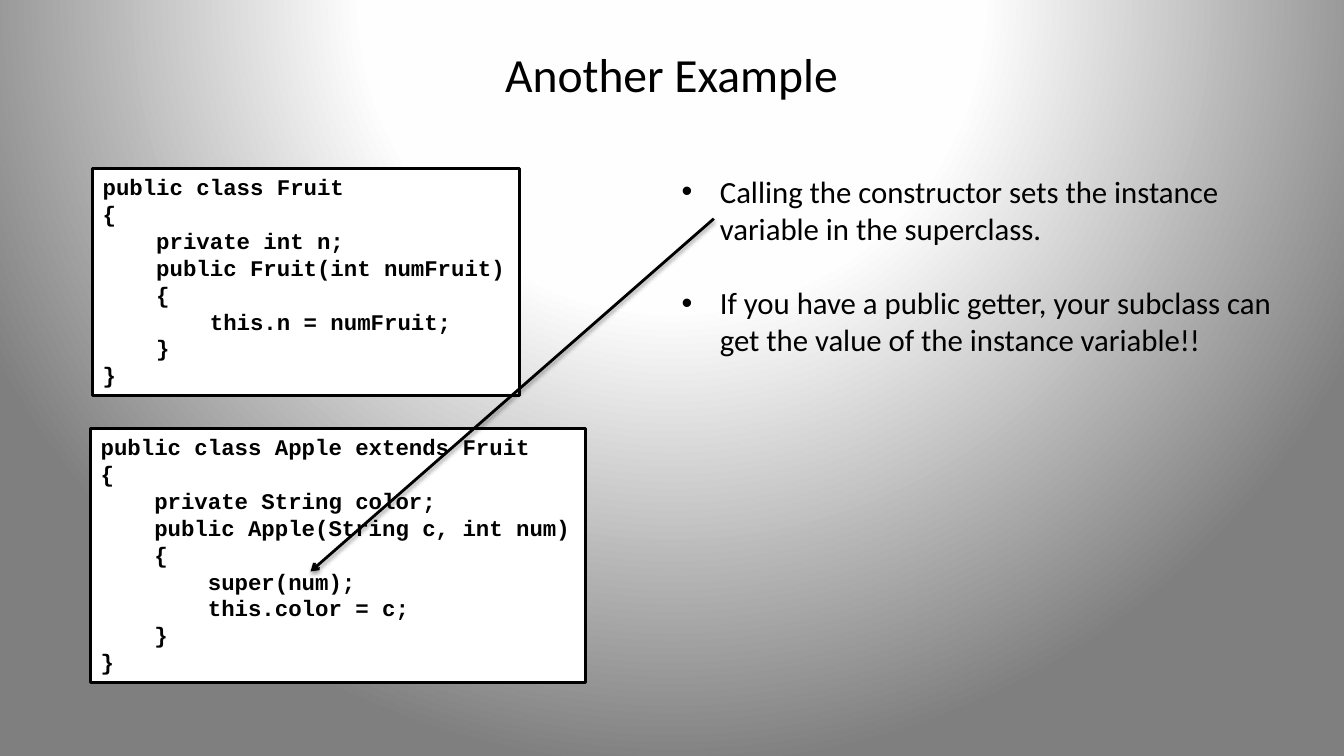
from pptx import Presentation
from pptx.dml.color import RGBColor
from pptx.enum.shapes import MSO_CONNECTOR, MSO_SHAPE
from pptx.enum.text import MSO_ANCHOR, MSO_AUTO_SIZE, PP_ALIGN
from pptx.oxml import parse_xml
from pptx.oxml.ns import nsdecls
from pptx.util import Inches, Pt

BLACK = RGBColor(0x00, 0x00, 0x00)
WHITE = RGBColor(0xFF, 0xFF, 0xFF)
NEAR_WHITE = RGBColor(0xFE, 0xFE, 0xFE)
GRAY = RGBColor(0x7F, 0x7F, 0x7F)
RECTANGLE = MSO_SHAPE.RECTANGLE
STRAIGHT = MSO_CONNECTOR.STRAIGHT
LEFT, CENTER = PP_ALIGN.LEFT, PP_ALIGN.CENTER
TOP, MIDDLE = MSO_ANCHOR.TOP, MSO_ANCHOR.MIDDLE
NO_AUTOFIT = MSO_AUTO_SIZE.NONE

FRUIT_CODE = """public class Fruit
{
    private int n;
    public Fruit(int numFruit)
    {
        this.n = numFruit;
    }
}"""
APPLE_CODE = """public class Apple extends Fruit
{
    private String color;
    public Apple(String c, int num)
    {
        super(num);
        this.color = c;
    }
}"""
CODE_BOXES = [
    (FRUIT_CODE, 0.92, 1.67, 4.23, 2.25),
    (APPLE_CODE, 0.9, 4.25, 4.91, 2.52),
]
BULLETS = [
    "Calling the constructor sets the instance\nvariable in the superclass.",
    "If you have a public getter, your subclass can\nget the value of the instance variable!!",
]


def place(shape, left, top, width, height):
    shape.left, shape.top = Inches(left), Inches(top)
    shape.width, shape.height = Inches(width), Inches(height)


def format_text(paragraph, font_name, size, bold=False):
    for run in paragraph.runs:
        run.font.name = font_name
        run.font.size = Pt(size)
        run.font.bold = bold
        run.font.color.rgb = BLACK


presentation = Presentation()
presentation.slide_width = Inches(13.33)
presentation.slide_height = Inches(7.5)
slide = presentation.slides.add_slide(presentation.slide_layouts[1])

# Radial background
fill = slide.background.fill
fill.solid()
solid_fill = slide.background._cSld.bg.bgPr[0]
stops = "".join(
    f'<a:gs pos="{position * 1000}"><a:srgbClr val="{color}"/></a:gs>'
    for position, color in [(0, WHITE), (40, NEAR_WHITE), (100, GRAY)]
)
gradient = parse_xml(
    f'<a:gradFill {nsdecls("a")} rotWithShape="1"><a:gsLst>{stops}</a:gsLst>'
    '<a:path path="circle"><a:fillToRect l="50000" t="-80000" r="50000" b="180000"/>'
    "</a:path></a:gradFill>"
)
solid_fill.getparent().replace(solid_fill, gradient)

# Title
title = slide.shapes.title
place(title, 0.66, 0.29, 12, 0.87)
title.text_frame.text = "Another Example"
title.text_frame.auto_size = NO_AUTOFIT
title.text_frame.vertical_anchor = MIDDLE
title.text_frame.paragraphs[0].alignment = CENTER
format_text(title.text_frame.paragraphs[0], "Calibri", 34)

# Code boxes
for code, left, top, width, height in CODE_BOXES:
    box = slide.shapes.add_shape(
        RECTANGLE, Inches(left), Inches(top), Inches(width), Inches(height)
    )
    box.shadow.inherit = False
    box.fill.solid()
    box.fill.fore_color.rgb = WHITE
    box.line.color.rgb = BLACK
    box.line.width = Pt(2)
    box.text_frame.text = code
    box.text_frame.word_wrap = False
    box.text_frame.vertical_anchor = TOP
    for paragraph in box.text_frame.paragraphs:
        paragraph.alignment = LEFT
        format_text(paragraph, "Courier New", 16, bold=True)

# Bulleted remarks
body = slide.placeholders[1]
place(body, 6.66, 1.66, 6.15, 1.95)
text_frame = body.text_frame
text_frame.auto_size = NO_AUTOFIT
text_frame.word_wrap = True
text_frame.vertical_anchor = TOP
for index, bullet in enumerate(BULLETS):
    paragraph = text_frame.add_paragraph() if index else text_frame.paragraphs[0]
    paragraph.text = bullet
    properties = paragraph._p.get_or_add_pPr()
    properties.set("marL", str(Inches(0.38)))
    properties.set("indent", str(-Inches(0.38)))
    properties.append(parse_xml(f'<a:buFont {nsdecls("a")} typeface="Arial"/>'))
    properties.append(parse_xml(f'<a:buChar {nsdecls("a")} char="•"/>'))
    paragraph.alignment = LEFT
    paragraph.space_before = Pt(27 if index else 0)
    format_text(paragraph, "Calibri", 22)

# Arrow from the first bullet to the super call
arrow = slide.shapes.add_connector(
    STRAIGHT, Inches(7.08), Inches(2.17), Inches(3.08), Inches(5.67)
)
arrow.line.color.rgb = BLACK
arrow.line.width = Pt(2)
arrow.line._get_or_add_ln().append(
    parse_xml(f'<a:tailEnd {nsdecls("a")} type="arrow"/>')
)
arrow._element.spPr.append(parse_xml(
    f'<a:effectLst {nsdecls("a")}><a:outerShdw blurRad="{Pt(3.1)}" dist="{Pt(1.6)}" '
    f'dir="5400000" rotWithShape="0"><a:srgbClr val="{BLACK}"><a:alpha val="38000"/>'
    "</a:srgbClr></a:outerShdw></a:effectLst>"
))

presentation.save("out.pptx")
